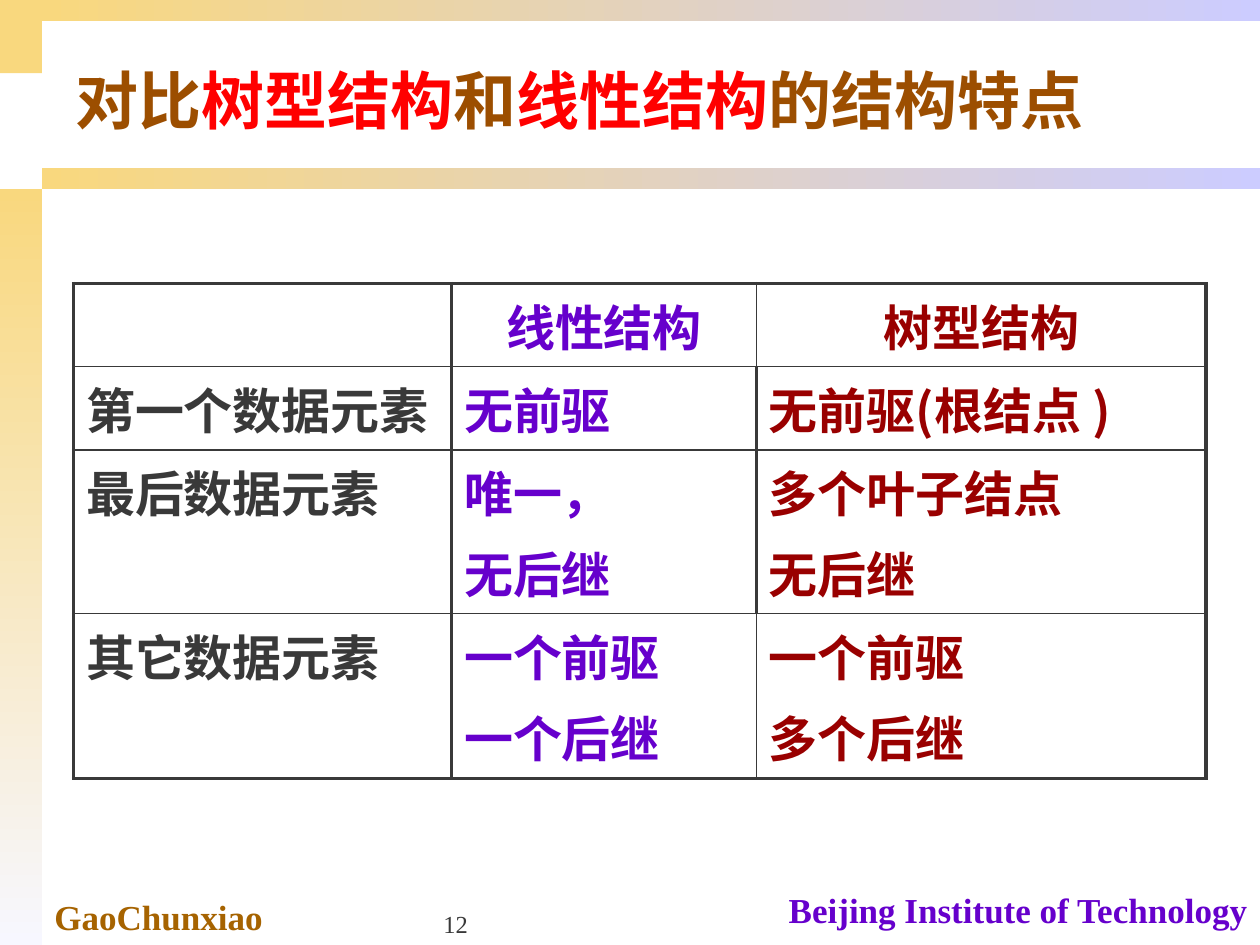
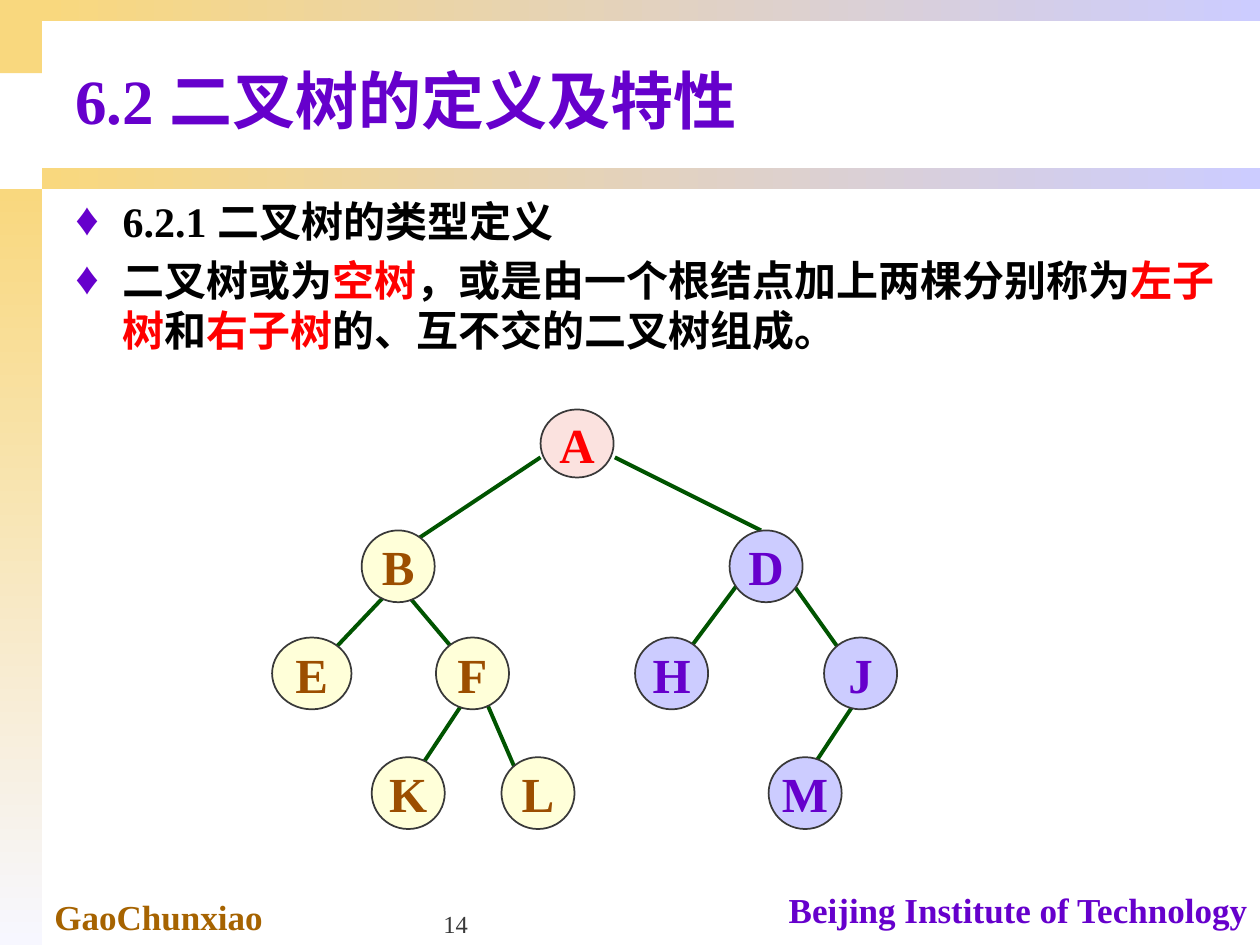
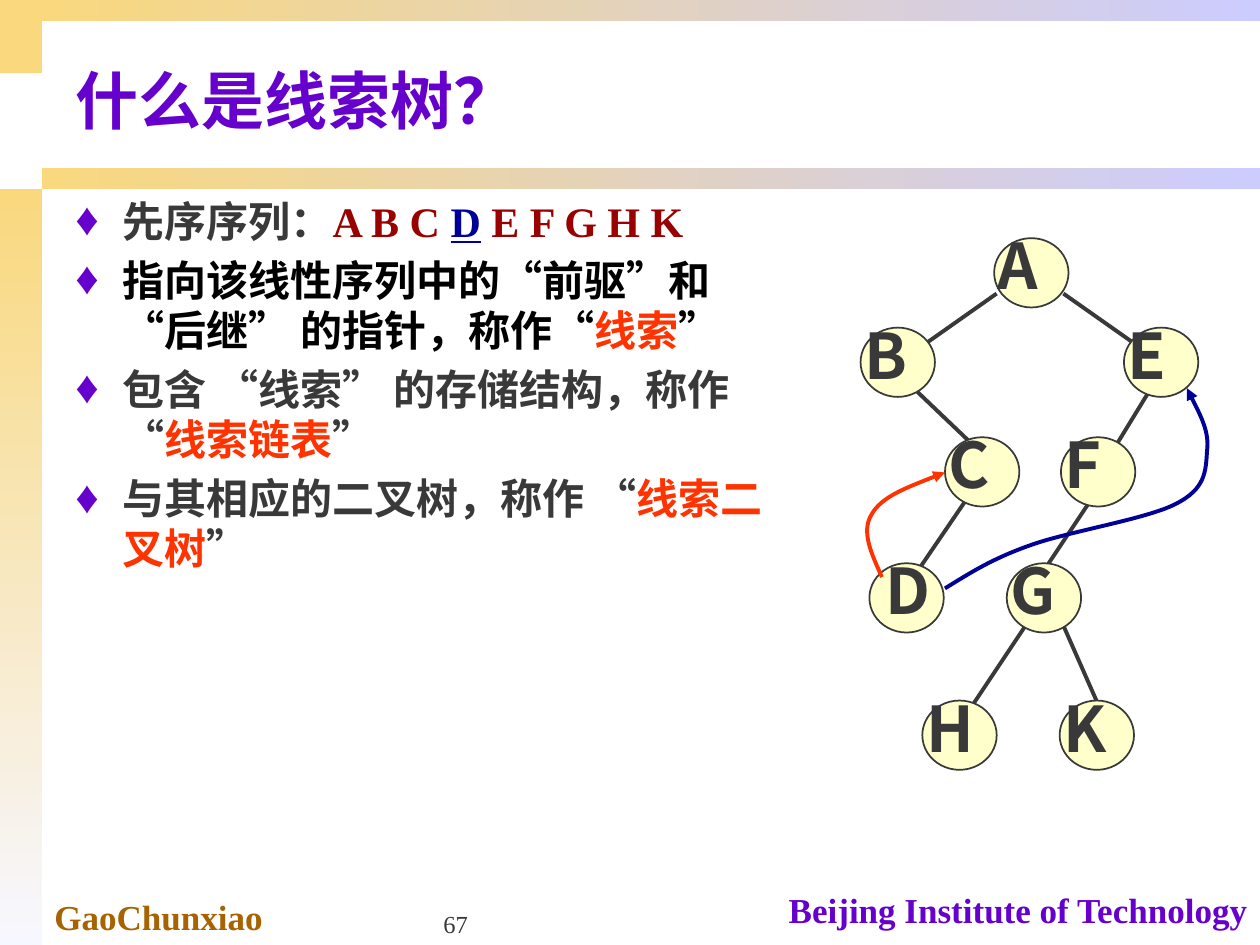
import pptx
import pptx.util
import pptx.dml.color
import pptx.enum.shapes
import pptx.enum.text
import pptx.oxml.ns
from lxml import etree

# Shared grid: ten columns by seven and a half rows of one inch
COLUMNS, ROWS = 10, 7.5
SIDE = COLUMNS / 30
BAND = SIDE / 2
HEAD_END = 1.5

# Shared colours and fonts
GOLD, LILAC, PALE = "F9D87E", "CCCCFF", "F7F7FF"
INK, BLACK, BROWN, OCHRE = "393939", "000000", "9C4E00", "A66300"
PURPLE, RED, ORANGE = "6600CC", "FF0000", "FF3300"
MAROON, NAVY, GREEN = "990000", "000099", "005400"
CREAM, YELLOW, ROSE = "FFFFD9", "FFFFCC", "FBE2DF"
SERIF, SANS = "Times New Roman", "Noto Sans CJK SC"

ALIGN = pptx.enum.text.PP_ALIGN
ANCHOR = pptx.enum.text.MSO_ANCHOR
SHAPE = pptx.enum.shapes.MSO_SHAPE
qn = pptx.oxml.ns.qn


def grid(count):
    return pptx.util.Inches(count)


def color(value):
    return pptx.dml.color.RGBColor.from_string(value)


def add_element(parent, tag, **attributes):
    return etree.SubElement(parent, qn(tag), attributes)


# Text
def add_span(para, text, tint, size, font, bold=True, underline=False):
    span = para.add_run()
    span.text = text
    span.font.size = pptx.util.Pt(size)
    span.font.bold = bold
    span.font.name = font
    span.font.color.rgb = color(tint)
    if underline:
        span.font.underline = True
    add_element(span.font._element, "a:ea", typeface=SANS)


def add_bullet(para):
    properties = para._p.get_or_add_pPr()
    properties.set("marL", str(grid(0.375)))
    properties.set("indent", str(grid(-0.375)))
    tint = add_element(properties, "a:buClr")
    add_element(tint, "a:srgbClr", val=PURPLE)
    add_element(properties, "a:buSzPct", val="110000")
    add_element(properties, "a:buFont", typeface=SERIF)
    add_element(properties, "a:buChar", char="♦")


def write(frame, paragraphs, size, font=SERIF, bold=True, align=ALIGN.LEFT,
          bullet=False):
    """Each paragraph is a list of (text, colour[, underline]) spans."""
    for index, spans in enumerate(paragraphs):
        para = frame.add_paragraph() if index else frame.paragraphs[0]
        if bullet:
            add_bullet(para)
        para.alignment = align
        if index:
            para.space_before = pptx.util.Pt(size * 0.2)
        for text, tint, *underline in spans:
            add_span(para, text, tint, size, font, bold, bool(underline))


def add_text(page, place, paragraphs, size, anchor=ANCHOR.TOP, left=0.1, **style):
    box = page.shapes.add_textbox(*map(grid, place))
    frame = box.text_frame
    frame.word_wrap = True
    frame.vertical_anchor = anchor
    frame.margin_left = grid(left)
    write(frame, paragraphs, size, **style)


# Shapes and lines
def add_bar(page, place, start, end=None, angle=0):
    bar = page.shapes.add_shape(SHAPE.RECTANGLE, *map(grid, place))
    bar.shadow.inherit = False
    bar.line.fill.background()
    if end is None:
        bar.fill.solid()
        bar.fill.fore_color.rgb = color(start)
        return
    bar.fill.gradient()
    bar.fill.gradient_angle = angle
    for stop, tint, position in zip(bar.fill.gradient_stops, (start, end), (0, 1)):
        stop.color.rgb = color(tint)
        stop.position = position


def add_node(page, place, fill):
    node = page.shapes.add_shape(SHAPE.OVAL, *map(grid, place))
    node.shadow.inherit = False
    node.fill.solid()
    node.fill.fore_color.rgb = color(fill)
    node.line.color.rgb = color(INK)
    node.line.width = pptx.util.Pt(1)
    return node


def add_edges(page, edges, tint):
    for ends in edges:
        edge = page.shapes.add_connector(
            pptx.enum.shapes.MSO_CONNECTOR.STRAIGHT, *map(grid, ends))
        edge.line.color.rgb = color(tint)
        edge.line.width = pptx.util.Pt(2.25)
        add_element(edge._element.spPr, "a:effectLst")


def add_thread(page, points, tint):
    """Draw a curved arrow: a start point, then three points per curve."""
    start, *rest = [(grid(x), grid(y)) for x, y in points]
    builder = page.shapes.build_freeform(*start)
    builder.add_line_segments(rest, close=False)
    thread = builder.convert_to_shape()
    thread.shadow.inherit = False
    thread.fill.background()
    thread.line.color.rgb = color(tint)
    thread.line.width = pptx.util.Pt(2.25)
    outline = thread._element.spPr.find(qn("a:ln"))
    add_element(outline, "a:tailEnd", type="triangle")
    # Turn every three straight segments into one Bezier curve
    track = next(thread._element.iter(qn("a:path")))
    segments = track.findall(qn("a:lnTo"))
    for first in range(0, len(segments), 3):
        curve = add_element(track, "a:cubicBezTo")
        for segment in segments[first:first + 3]:
            curve.append(segment[0])
            track.remove(segment)


# Parts every slide shares
def add_page(deck, number, title):
    page = deck.slides.add_slide(deck.slide_layouts[6])
    add_bar(page, (0, 0, SIDE, 0.58), GOLD)
    add_bar(page, (0, HEAD_END, SIDE, ROWS - HEAD_END), GOLD, PALE, 270)
    for top in (HEAD_END - BAND, 0):
        add_bar(page, (SIDE, top, COLUMNS - SIDE, BAND), GOLD, LILAC)
    add_text(page, (SIDE, 7.06, 3.5, 0.44), [[("GaoChunxiao", OCHRE)]], 20)
    add_text(page, (6.08, 7, 3.92, 0.43),
             [[("Beijing Institute of Technology", PURPLE)]], 20, align=ALIGN.RIGHT)
    add_text(page, (3.42, 7, 2.08, 0.5), [[(str(number), INK)]], 14,
             anchor=ANCHOR.BOTTOM, bold=False)
    add_text(page, (0.5, 0.25, 9.5, 1.07), [title], 36, anchor=ANCHOR.MIDDLE)
    return page


def add_body(page, width, paragraphs):
    add_text(page, (0.5, HEAD_END, width, 5.42), paragraphs, 24, bullet=True)


# Comparison table
def set_borders(cell, widths):
    properties = cell._tc.get_or_add_tcPr()
    for side, width in zip("LRTB", widths):
        border = add_element(properties, "a:ln" + side, w=str(pptx.util.Pt(width)))
        fill = add_element(border, "a:solidFill")
        add_element(fill, "a:srgbClr", val=INK)


def add_comparison(page, rows):
    widths, heights = (3, 2.42, 3.57), (0.66, 0.66, 1.3, 1.31)
    frame = page.shapes.add_table(
        len(heights), len(widths),
        *map(grid, (7 / 12, 2.25, sum(widths), sum(heights))))
    table = frame.table
    table.first_row = table.horz_banding = False
    for column, width in zip(table.columns, widths):
        column.width = grid(width)
    for row, height in zip(table.rows, heights):
        row.height = grid(height)
    thick, thin = 2.25, 1
    last = len(rows) - 1
    for r, row in enumerate(rows):
        # The divider between the two structures is thin at both ends
        divider = thin if r in (0, last) else thick
        uprights = (thick, thick, divider, thick)
        for c, (text, tint) in enumerate(zip(row, (INK, PURPLE, MAROON))):
            cell = table.cell(r, c)
            set_borders(cell, (uprights[c], uprights[c + 1],
                               thin if r else thick,
                               thick if r == last else thin))
            cell.fill.background()
            if text:
                write(cell.text_frame, [[(line, tint)] for line in text.split("\n")],
                      28, font=SANS, align=ALIGN.LEFT if r else ALIGN.CENTER)


# Slides
def structure_slide(deck):
    page = add_page(deck, 12, [("对比", BROWN), ("树型结构", RED), ("和", BROWN),
                               ("线性结构", RED), ("的结构特点", BROWN)])
    add_comparison(page, [
        ("", "线性结构", "树型结构"),
        ("第一个数据元素", "无前驱", "无前驱(根结点 )"),
        ("最后数据元素", "唯一，\n无后继", "多个叶子结点\n无后继"),
        ("其它数据元素", "一个前驱\n一个后继", "一个前驱\n多个后继"),
    ])


def definition_slide(deck):
    page = add_page(deck, 14, [("6.2 二叉树的定义及特性", PURPLE)])
    add_body(page, 9.5, [
        [("6.2.1 二叉树的类型定义", BLACK)],
        [("二叉树或为", BLACK), ("空树", RED),
         ("，或是由一个根结点加上两棵分别称为", BLACK), ("左子树", RED),
         ("和", BLACK), ("右子树", RED), ("的、互不交的二叉树组成。", BLACK)],
    ])
    add_edges(page, [
        (4.29, 3.63, 3.19, 4.36), (4.88, 3.63, 6.04, 4.21),
        (3.11, 4.67, 2.56, 5.25), (3.19, 4.67, 3.68, 5.25),
        (5.89, 4.59, 5.39, 5.26), (6.26, 4.59, 6.68, 5.18),
        (3.74, 5.48, 3.27, 6.19), (3.82, 5.48, 4.14, 6.22),
        (6.81, 5.54, 6.34, 6.25),
    ], GREEN)
    # Nodes by level: top, then the left of each; colours by subtree
    levels = [(3.25, {"A": 4.29}),
              (4.21, {"B": 2.87, "D": 5.79}),
              (5.06, {"E": 2.16, "F": 3.46, "H": 5.04, "J": 6.54}),
              (6.01, {"K": 2.95, "L": 3.98, "M": 6.1})]
    for top, nodes in levels:
        for letter, left in nodes.items():
            if letter == "A":
                fill, tint = ROSE, RED
            elif letter in "DHJM":
                fill, tint = LILAC, PURPLE
            else:
                fill, tint = CREAM, BROWN
            width = 0.63 if letter == "E" else 0.58
            height = 0.54 if letter == "A" else 0.57
            node = add_node(page, (left, top, width, height), fill)
            node.text_frame.word_wrap = False
            node.text_frame.vertical_anchor = ANCHOR.MIDDLE
            write(node.text_frame, [[(letter, tint)]], 28, align=ALIGN.CENTER)


def thread_slide(deck):
    page = add_page(deck, 67, [("什么是线索树？", PURPLE)])
    add_body(page, 5.92, [
        [("先序序列：", INK), ("A B C ", MAROON), ("D", NAVY, True),
         (" E F G H K", MAROON)],
        [("指向该线性序列中的“前驱”和 “后继” 的指针，称作“", BLACK),
         ("线索", ORANGE), ("”", BLACK)],
        [("包含 “线索” 的存储结构，称作 “", INK), ("线索链表", ORANGE), ("”", INK)],
        [("与其相应的二叉树，称作 “", INK), ("线索二叉树", ORANGE), ("”", INK)],
    ])
    add_edges(page, [
        (7.91, 2.33, 7.2, 2.83), (8.44, 2.33, 9.15, 2.83),
        (7.26, 3.09, 7.7, 3.51), (9.13, 3.09, 8.83, 3.58),
        (7.7, 3.92, 7.25, 4.58), (8.75, 3.83, 8.25, 4.58),
        (8.17, 4.92, 7.67, 5.67), (8.42, 4.92, 8.75, 5.67),
    ], INK)
    levels = [(1.89, {"A": 7.89}),
              (2.6, {"B": 6.83, "E": 8.92}),
              (3.47, {"C": 7.5, "F": 8.42}),
              (4.47, {"D": 6.9, "G": 7.99}),
              (5.56, {"H": 7.32, "K": 8.41})]
    for top, nodes in levels:
        for letter, left in nodes.items():
            add_node(page, (left, top, 0.59, 0.55), YELLOW)
            # D stands centred on its node, the others start at its left edge
            if letter == "D":
                shift, width, inset, align = 0.32, 1.26, 0.1, ALIGN.CENTER
            else:
                shift, width, inset, align = 0.16, 1.06, 0.19, ALIGN.LEFT
            add_text(page, (left - shift, top - 0.14, width, 0.7), [[(letter, INK)]],
                     36, left=inset, font=SANS, align=align)
    # Threads from D to its predecessor C and its successor E
    add_thread(page, [(7, 4.58), (6.92, 4.4), (6.83, 4.22), (6.92, 4.08),
                      (7, 3.94), (7.25, 3.85), (7.5, 3.75)], ORANGE)
    add_thread(page, [(7.5, 4.67), (7.68, 4.56), (7.86, 4.44), (8.17, 4.33),
                      (8.47, 4.22), (9.1, 4.12), (9.33, 4),
                      (9.57, 3.88), (9.57, 3.74), (9.58, 3.58),
                      (9.6, 3.43), (9.51, 3.26), (9.42, 3.08)], NAVY)


def main():
    deck = pptx.Presentation()
    deck.slide_width, deck.slide_height = grid(COLUMNS), grid(ROWS)
    structure_slide(deck)
    definition_slide(deck)
    thread_slide(deck)
    deck.save("out.pptx")


if __name__ == "__main__":
    main()
